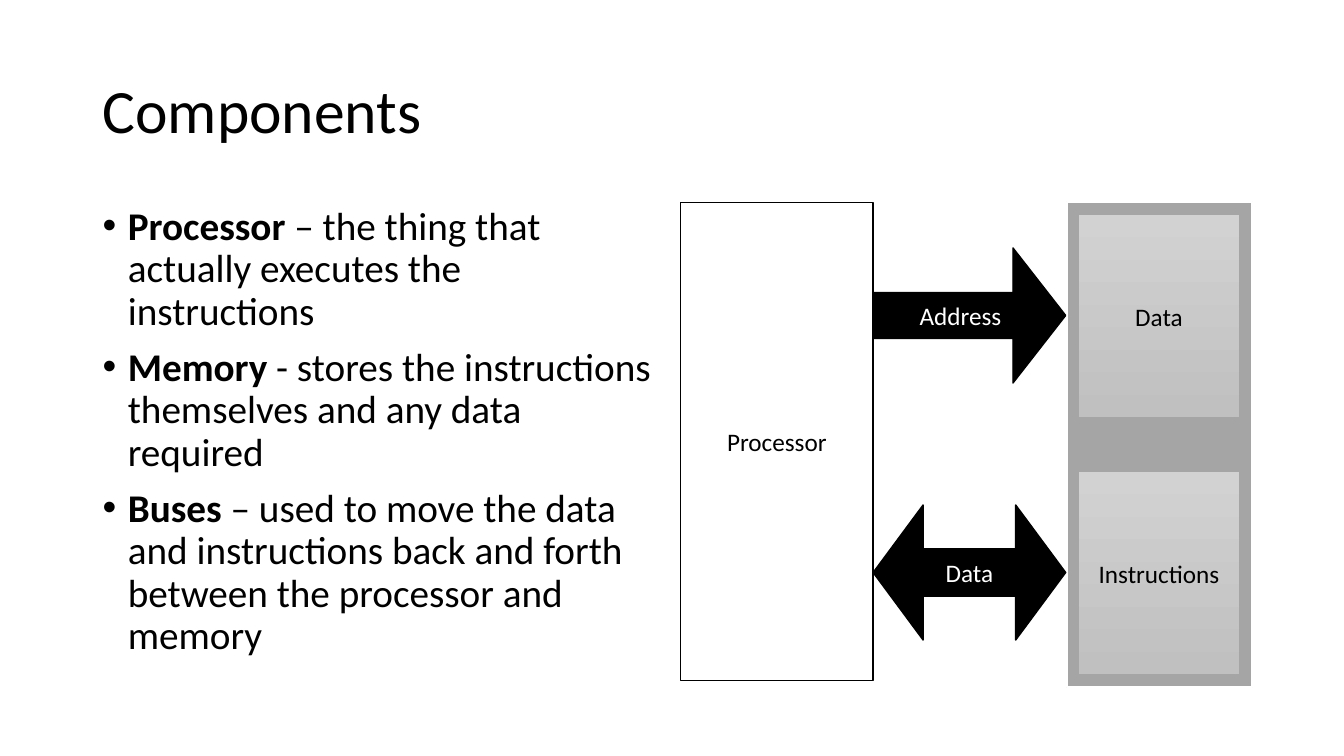
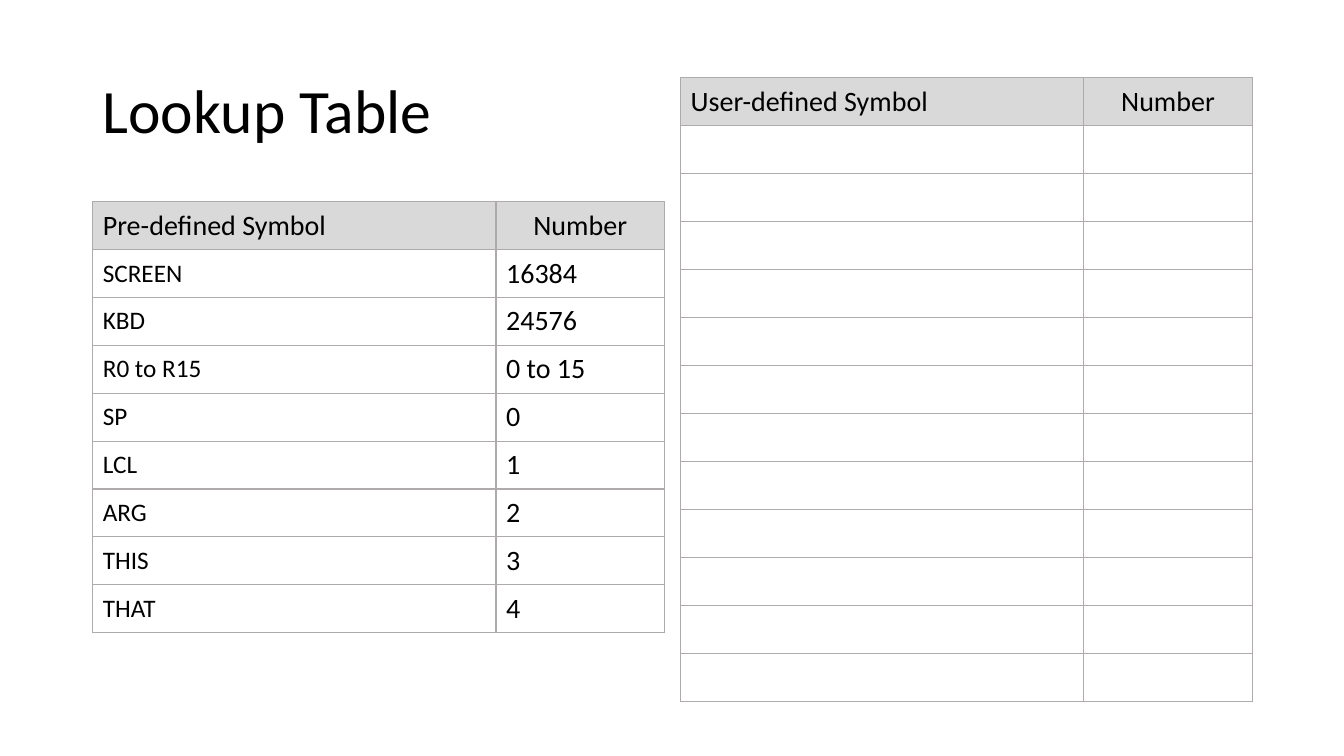
from dataclasses import dataclass

from lxml.etree import SubElement
from pptx import Presentation
from pptx.dml.color import RGBColor
from pptx.enum.shapes import MSO_SHAPE
from pptx.enum.text import MSO_ANCHOR, PP_ALIGN
from pptx.oxml.ns import qn
from pptx.util import Pt

PX = 9144  # EMU per px, 100 px to the inch


@dataclass(frozen=True)
class Theme:
    font: str = "Calibri"
    black: RGBColor = RGBColor(0x00, 0x00, 0x00)
    white: RGBColor = RGBColor(0xFF, 0xFF, 0xFF)
    bank: RGBColor = RGBColor(0xA5, 0xA5, 0xA5)
    cell_top: RGBColor = RGBColor(0xD2, 0xD2, 0xD2)
    cell_bottom: RGBColor = RGBColor(0xC0, 0xC0, 0xC0)
    header: RGBColor = RGBColor(0xD9, 0xD9, 0xD9)
    border: str = "AFABAB"
    title: int = 44
    body: int = 28
    large: int = 20
    label: int = 18


theme = Theme()


def write(para, text, size, color=theme.black, bold=False):
    """Add one formatted span of text to a paragraph."""
    span = para.add_run()
    span.text = text
    formats = {"name": theme.font, "size": Pt(size), "bold": bold}
    for name, value in formats.items():
        setattr(span.font, name, value)
    span.font.color.rgb = color


def add_text_box(page, left, top, width, height, anchor):
    """Add an empty wrapping text box and return its frame."""
    box = page.shapes.add_textbox(left * PX, top * PX, width * PX, height * PX)
    box.text_frame.word_wrap = True
    box.text_frame.vertical_anchor = anchor
    return box.text_frame


deck = Presentation()
deck.slide_width, deck.slide_height = 1333 * PX, 750 * PX

# Pages with their shared title style
pages = []
for title in ("Components", "Lookup Table"):
    page = deck.slides.add_slide(deck.slide_layouts[6])
    para = add_text_box(page, 92, 40, 1150, 145, MSO_ANCHOR.MIDDLE).paragraphs[0]
    para.line_spacing = 0.9
    write(para, title, theme.title)
    pages.append(page)
components, lookup = pages

# Components: bulleted definitions
definitions = [
    ("Processor ", "– the thing that actually executes the instructions"),
    ("Memory", " - stores the instructions themselves and any data required"),
    ("Buses ", "– used to move the data and instructions back and forth "
               "between the processor and memory"),
]
frame = add_text_box(components, 92, 200, 567, 476, MSO_ANCHOR.TOP)
for index, (term, meaning) in enumerate(definitions):
    para = frame.add_paragraph() if index else frame.paragraphs[0]
    properties = para._p.get_or_add_pPr()
    properties.set("marL", str(25 * PX))
    properties.set("indent", str(-25 * PX))
    SubElement(properties, qn("a:buFont"), typeface="Arial")
    SubElement(properties, qn("a:buChar"), char="•")
    para.line_spacing = 0.9
    para.space_before = Pt(10 if index else 0)
    write(para, term, theme.body, bold=True)
    write(para, meaning, theme.body)

# Components: processor, memory bank and buses, from back to front
gradient = (theme.cell_top, theme.cell_bottom)
rectangle = MSO_SHAPE.RECTANGLE
blocks = [
    # kind, position, adjustments, fill, line, line width, label, label colour
    (rectangle, (675, 201, 191, 474), (), theme.white, theme.black, 1,
     "Processor", theme.black),
    (rectangle, (1058, 200, 184, 482), (), theme.bank, theme.white, 1.5,
     "", theme.black),
    (rectangle, (1070, 213, 159, 201), (), gradient, theme.bank, 0.5,
     "Data", theme.black),
    (rectangle, (1070, 468, 159, 201), (), gradient, theme.bank, 0.5,
     "Instructions", theme.black),
    (MSO_SHAPE.RIGHT_ARROW, (866, 246, 191, 134), (0.34, 0.39),
     theme.black, theme.black, 1, "Address", theme.white),
    (MSO_SHAPE.LEFT_RIGHT_ARROW, (866, 501, 191, 134), (0.35, 0.37),
     theme.black, theme.black, 1, "Data", theme.white),
]
for kind, position, adjustments, fill, line, weight, label, color in blocks:
    shape = components.shapes.add_shape(kind, *(value * PX for value in position))
    shape.shadow.inherit = False
    for index, value in enumerate(adjustments):
        shape.adjustments[index] = value
    if fill is gradient:
        shape.fill.gradient()
        shape.fill.gradient_angle = 270
        for stop, stop_color in zip(shape.fill.gradient_stops, gradient):
            stop.color.rgb = stop_color
    else:
        shape.fill.solid()
        shape.fill.fore_color.rgb = fill
    shape.line.color.rgb = line
    shape.line.width = Pt(weight)
    if label:
        shape.text_frame.vertical_anchor = MSO_ANCHOR.MIDDLE
        para = shape.text_frame.paragraphs[0]
        para.alignment = PP_ALIGN.CENTER
        write(para, label, theme.label, color)

# Lookup Table: pre-defined symbols beside an empty table for the user's own
predefined = [
    ("SCREEN", "16384"), ("KBD", "24576"), ("R0 to R15", "0 to 15"), ("SP", "0"),
    ("LCL", "1"), ("ARG", "2"), ("THIS", "3"), ("THAT", "4"),
]
tables = [
    (92, 200, 428, [("Pre-defined Symbol", "Number")] + predefined),
    (675, 77, 619, [("User-defined Symbol", "Number")] + [("", "")] * 12),
]
column_widths = (400, 167)
for left, top, height, rows in tables:
    table = lookup.shapes.add_table(
        len(rows), len(column_widths), left * PX, top * PX,
        sum(column_widths) * PX, height * PX).table
    for name in ("first_row", "horz_banding"):
        setattr(table, name, False)
    for column, width in zip(table.columns, column_widths):
        column.width = width * PX
    for row_index, row in enumerate(rows):
        for column_index, text in enumerate(row):
            cell = table.cell(row_index, column_index)
            cell.vertical_anchor = MSO_ANCHOR.MIDDLE
            for side in ("a:lnL", "a:lnR", "a:lnT", "a:lnB"):
                edge = SubElement(cell._tc.get_or_add_tcPr(), qn(side), w=str(Pt(1)))
                solid = SubElement(edge, qn("a:solidFill"))
                SubElement(solid, qn("a:srgbClr"), val=theme.border)
            is_header = row_index == 0
            if is_header:
                cell.fill.solid()
                cell.fill.fore_color.rgb = theme.header
            else:
                cell.fill.background()
            para = cell.text_frame.paragraphs[0]
            if is_header and column_index == 1:
                para.alignment = PP_ALIGN.CENTER
            if text:
                is_large = is_header or column_index == 1
                write(para, text, theme.large if is_large else theme.label)

deck.save("out.pptx")
